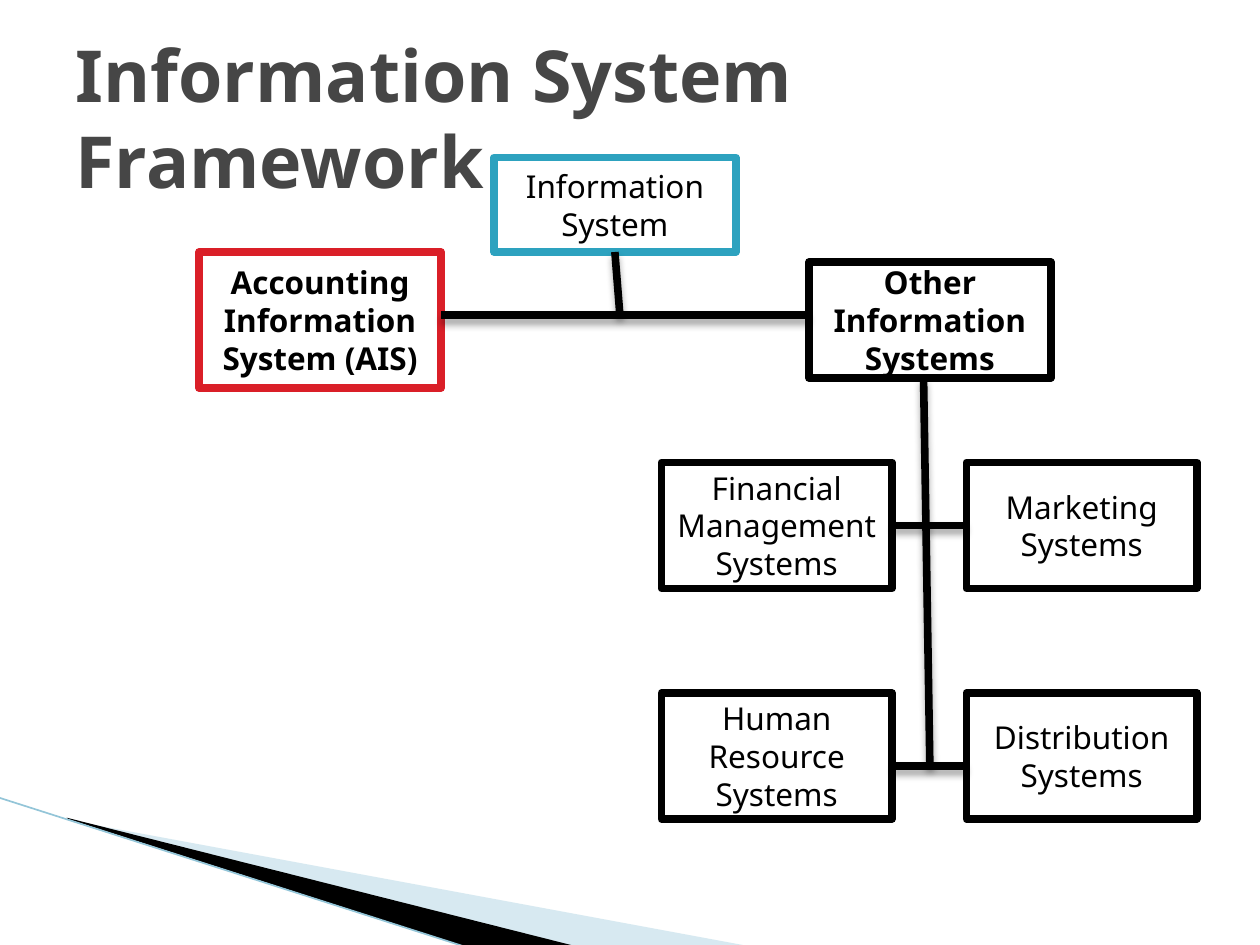
import pptx
import pptx.util
import pptx.dml.color
import pptx.enum.shapes
import pptx.enum.text
import pptx.oxml
import pptx.oxml.ns
from lxml import etree

Inches = pptx.util.Inches
Pt = pptx.util.Pt
RGB = pptx.dml.color.RGBColor
Align = pptx.enum.text.PP_ALIGN
Anchor = pptx.enum.text.MSO_ANCHOR

BLACK = RGB(0x00, 0x00, 0x00)
WHITE = RGB(0xFF, 0xFF, 0xFF)
GREY = RGB(0x46, 0x46, 0x46)
TEAL = RGB(0x2D, 0xA2, 0xBF)
RED = RGB(0xDA, 0x1F, 0x28)
PALE = RGB(0x9C, 0xCA, 0xDC)
SKY = RGB(0x93, 0xC5, 0xD8)

SHADOW = (
    f'<a:outerShdw {pptx.oxml.ns.nsdecls("a")} blurRad="50800" dist="38100" '
    'dir="5400000" rotWithShape="0"><a:srgbClr val="000000">'
    '<a:alpha val="35000"/></a:srgbClr></a:outerShdw>'
)


class Chart:
    face = "Noto Sans"
    size = Pt(18)
    width = Pt(4.33)

    def __init__(self, slide):
        self.slide = slide
        self.shapes = slide.shapes

    def font(self, para, size, color, bold):
        para.font.name = self.face
        para.font.size = size
        para.font.bold = bold
        para.font.color.rgb = color

    def title(self, text):
        shape = self.shapes.title
        shape.left, shape.top = Inches(0.5), Inches(0.3)
        shape.width, shape.height = Inches(9), Inches(1.25)
        frame = shape.text_frame
        frame.text = text
        frame.word_wrap = True
        frame.auto_size = pptx.enum.text.MSO_AUTO_SIZE.NONE
        frame.vertical_anchor = Anchor.MIDDLE
        para = frame.paragraphs[0]
        para.alignment = Align.LEFT
        self.font(para, Pt(41), GREY, True)

    def wedge(self, points, color, alpha=None):
        start, *rest = [(Inches(x), Inches(y)) for x, y in points]
        build = self.shapes.build_freeform(*start)
        build.add_line_segments(rest)
        shape = build.convert_to_shape()
        shape.shadow.inherit = False
        shape.line.fill.background()
        shape.fill.solid()
        shape.fill.fore_color.rgb = color
        if alpha:
            tint = shape.fill._xPr.find(".//" + pptx.oxml.ns.qn("a:srgbClr"))
            etree.SubElement(tint, pptx.oxml.ns.qn("a:alpha"), val=str(alpha * 1000))

    def box(self, text, x, y, w, h, color=BLACK, bold=False):
        shape = self.shapes.add_shape(
            pptx.enum.shapes.MSO_SHAPE.RECTANGLE,
            Inches(x), Inches(y), Inches(w), Inches(h))
        shape.shadow.inherit = False
        shape.fill.solid()
        shape.fill.fore_color.rgb = WHITE
        shape.line.color.rgb = color
        shape.line.width = self.width
        frame = shape.text_frame
        frame.text = text
        frame.word_wrap = True
        frame.vertical_anchor = Anchor.MIDDLE
        para = frame.paragraphs[0]
        para.alignment = Align.CENTER
        self.font(para, self.size, BLACK, bold)
        return shape

    def line(self, x1, y1, x2, y2, color=BLACK, width=None, shadow=True):
        link = self.shapes.add_connector(
            pptx.enum.shapes.MSO_CONNECTOR.STRAIGHT,
            Inches(x1), Inches(y1), Inches(x2), Inches(y2))
        link.line.color.rgb = color
        link.line.width = width or self.width
        effects = etree.SubElement(
            link._element.spPr, pptx.oxml.ns.qn("a:effectLst"))
        if shadow:
            effects.append(pptx.oxml.parse_xml(SHADOW))
        return link


def main():
    deck = pptx.Presentation()
    deck.slide_width, deck.slide_height = Inches(10), Inches(7.5)
    chart = Chart(deck.slides.add_slide(deck.slide_layouts[5]))

    chart.wedge([(0.55, 6.51), (5.95, 7.51), (4.56, 7.51), (0.55, 6.5)], PALE, 40)
    chart.wedge([(0.53, 6.49), (4.57, 7.51), (3.72, 7.52), (0.54, 6.5)], BLACK)
    chart.line(-0.01, 6.33, 3.71, 7.52, SKY, Pt(0.95), False)
    chart.title("Information System Framework")

    root = chart.box("Information System", 3.92, 1.25, 1.92, 0.75, TEAL)
    chart.box("Accounting Information System (AIS)", 1.58, 2, 1.92, 1.08, RED, True)
    chart.box("Other Information Systems", 6.42, 2.08, 1.92, 0.92, bold=True)

    rows = [
        (3.67, "Financial Management Systems", "Marketing Systems"),
        (5.5, "Human Resource Systems", "Distribution Systems"),
    ]
    pairs = [
        [chart.box(text, x, y, 1.83, 1) for x, text in zip((5.25, 7.67), names)]
        for y, *names in rows
    ]

    chart.line(7.33, 3, 7.38, 6.08)
    chart.line(7.08, 6.08, 7.67, 6.08)
    rung = chart.line(7.08, 4.17, 7.67, 4.17)
    rung.begin_connect(pairs[0][0], 3)
    rung.end_connect(pairs[0][1], 1)
    chart.line(3.5, 2.5, 6.42, 2.5)
    stem = chart.line(4.88, 2, 4.92, 2.5)
    stem.begin_connect(root, 2)

    deck.save("out.pptx")


if __name__ == "__main__":
    main()
